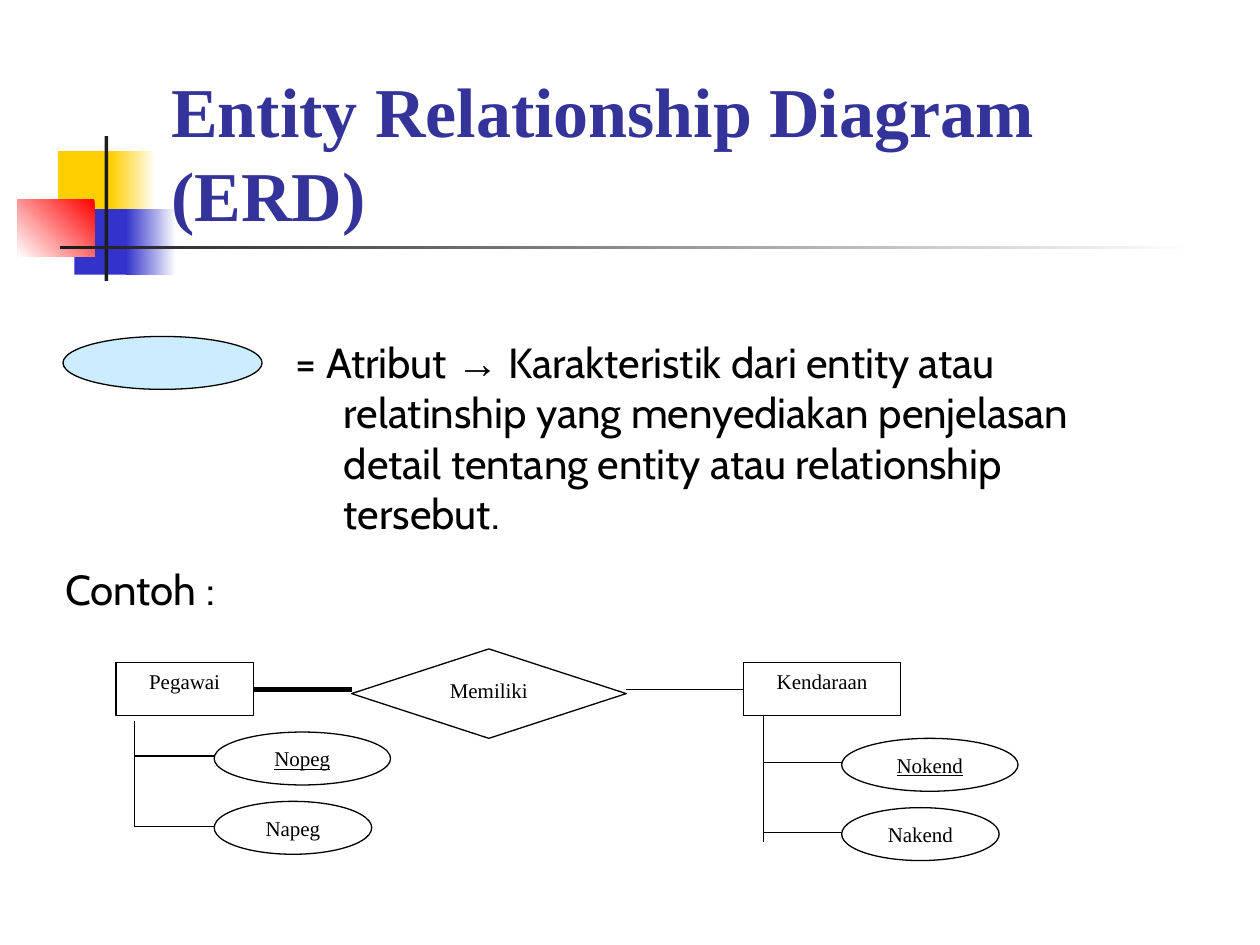
from lxml.etree import SubElement
from pptx import Presentation
from pptx.dml.color import RGBColor
from pptx.enum.shapes import MSO_CONNECTOR, MSO_SHAPE
from pptx.enum.text import MSO_ANCHOR, MSO_AUTO_SIZE, PP_ALIGN
from pptx.oxml.ns import qn
from pptx.util import Inches, Pt

SERIF, SANS = "Times New Roman", "Cabin"
BLACK, WHITE, BLUE = "000000", "FFFFFF", "3333CC"


def color(code):
    return RGBColor.from_string(code)


def place(shape, x, y, w, h):
    shape.left, shape.top = Inches(x), Inches(y)
    shape.width, shape.height = Inches(w), Inches(h)


def style(font, name, size, code=BLACK, bold=False, under=False):
    font.name, font.size, font.bold = name, Pt(size), bold
    font.underline = under
    font.color.rgb = color(code)


def add_box(slide, kind, x, y, w, h, fill=WHITE, text="", under=False):
    """Outlined shape with an optional label at its top."""
    box = slide.shapes.add_shape(kind, Inches(x), Inches(y), Inches(w), Inches(h))
    box.shadow.inherit = False
    box.fill.solid()
    box.fill.fore_color.rgb = color(fill)
    box.line.color.rgb = color(BLACK)
    box.line.width = Pt(0.75)
    if text:
        frame = box.text_frame
        frame.text = text
        frame.vertical_anchor = MSO_ANCHOR.TOP
        para = frame.paragraphs[0]
        para.alignment = PP_ALIGN.CENTER
        style(para.runs[0].font, SERIF, 12, under=under)
    return box


def add_line(slide, x1, y1, x2, y2, width=0.75):
    line = slide.shapes.add_connector(
        MSO_CONNECTOR.STRAIGHT, Inches(x1), Inches(y1), Inches(x2), Inches(y2))
    line.line.color.rgb = color(BLACK)
    line.line.width = Pt(width)
    SubElement(line._element.spPr, qn("a:effectLst"))
    return line


def add_text(slide, x, y, w, h, parts):
    """Text box whose parts are (text, font name) pairs."""
    box = slide.shapes.add_textbox(Inches(x), Inches(y), Inches(w), Inches(h))
    box.text_frame.word_wrap = True
    para = box.text_frame.paragraphs[0]
    for text, name in parts:
        run = para.add_run()
        run.text = text
        style(run.font, name, 24)
    return para


def add_motif(slide, x, y):
    """Coloured squares and crossing bars; two colours make a gradient."""
    tiles = [
        (0.32, 0.12, 0.48, 0.52, ["FFCF01"], 0),
        (0.74, 0.12, 0.36, 0.52, [WHITE, "FFCF01"], 180),
        (0.45, 0.58, 0.46, 0.52, [BLUE], 0),
        (0.86, 0.58, 0.4, 0.52, [WHITE, BLUE], 180),
        (0, 0.5, 0.61, 0.46, ["FF0000", WHITE], 225),
        (0.69, 0, 0.03, 1.15, ["1C1C1C"], 0),
        (0.34, 0.87, 9, 0.03, [WHITE, "1C1C1C"], 180),
    ]
    for dx, dy, w, h, codes, angle in tiles:
        tile = add_box(slide, MSO_SHAPE.RECTANGLE, x + dx, y + dy, w, h, codes[0])
        tile.line.fill.background()
        if len(codes) > 1:
            tile.fill.gradient()
            tile.fill.gradient_angle = angle
            for stop, code in zip(tile.fill.gradient_stops, codes):
                stop.color.rgb = color(code)


def add_title(slide, x, y, w, h):
    title = slide.shapes.title
    place(title, x, y, w, h)
    frame = title.text_frame
    frame.text = "Entity Relationship Diagram (ERD)"
    frame.auto_size = MSO_AUTO_SIZE.NONE
    frame.vertical_anchor = MSO_ANCHOR.BOTTOM
    para = frame.paragraphs[0]
    para.alignment = PP_ALIGN.LEFT
    style(para.runs[0].font, SERIF, 40, "333399", bold=True)


def add_legend(slide, x, y):
    """Attribute symbol and its meaning."""
    add_box(slide, MSO_SHAPE.OVAL, x, y, 1.58, 0.42, "CCECFF")
    para = add_text(slide, x + 1.75, y - 0.05, 7.08, 2.31, [
        ("= Atribut ", SANS),
        ("→", "Arial"),
        (" Karakteristik dari entity atau relatinship yang menyediakan "
         "penjelasan detail tentang entity atau relationship tersebut.", SANS),
    ])
    props = para._p.get_or_add_pPr()
    props.set("marL", str(Inches(0.38)))
    props.set("indent", str(-Inches(0.38)))


def add_entity(slide, x, y, w, name, fields, drop, trunk):
    """Entity with a trunk and one branch for each attribute."""
    box = add_box(slide, MSO_SHAPE.RECTANGLE, x, y, w, 0.42, text=name)
    stem, start, end = trunk
    add_line(slide, x + stem, y + start, x + stem, y + end)
    for i, (field, width) in enumerate(zip(fields, (1.4, 1.25))):
        top = y + drop + i * 0.55
        add_box(slide, MSO_SHAPE.OVAL, x + 0.78, top, width, 0.42,
                text=field, under=i == 0)
        level = y + drop + 0.19 + i * 0.56
        add_line(slide, x + stem, level, x + 0.78, level)
    return box


def add_diagram(slide, x, y):
    """Two entities joined by a relationship."""
    top, mid = y + 0.11, y + 0.32
    staff = add_entity(slide, x, top, 1.09, "Pegawai", ("Nopeg", "Napeg"),
                       0.55, (0.15, 0.46, 1.3))
    add_box(slide, MSO_SHAPE.DIAMOND, x + 1.87, y, 2.18, 0.71, text="Memiliki")
    car = add_entity(slide, x + 4.98, top, 1.25, "Kendaraan", ("Nokend", "Nakend"),
                     0.6, (0.16, 0.42, 1.42))
    add_line(slide, x + 1.09, mid, x + 1.87, mid, 3).begin_connect(staff, 3)
    add_line(slide, x + 4.05, mid, x + 4.98, mid).end_connect(car, 1)


def main():
    deck = Presentation()
    deck.slide_width, deck.slide_height = Inches(10), Inches(7.5)
    slide = deck.slides.add_slide(deck.slide_layouts[5])
    add_motif(slide, 0.14, 1.08)
    # Bring the title in front of the motif
    slide.shapes._spTree.append(slide.shapes.title._element)
    add_title(slide, 1.26, 0.67, 8.52, 1.25)
    add_legend(slide, 0.5, 2.67)
    add_diagram(slide, 0.92, 5.15)
    add_text(slide, 0.42, 4.42, 1.5, 0.9, [("Contoh :", SANS)])
    deck.save("out.pptx")


if __name__ == "__main__":
    main()
